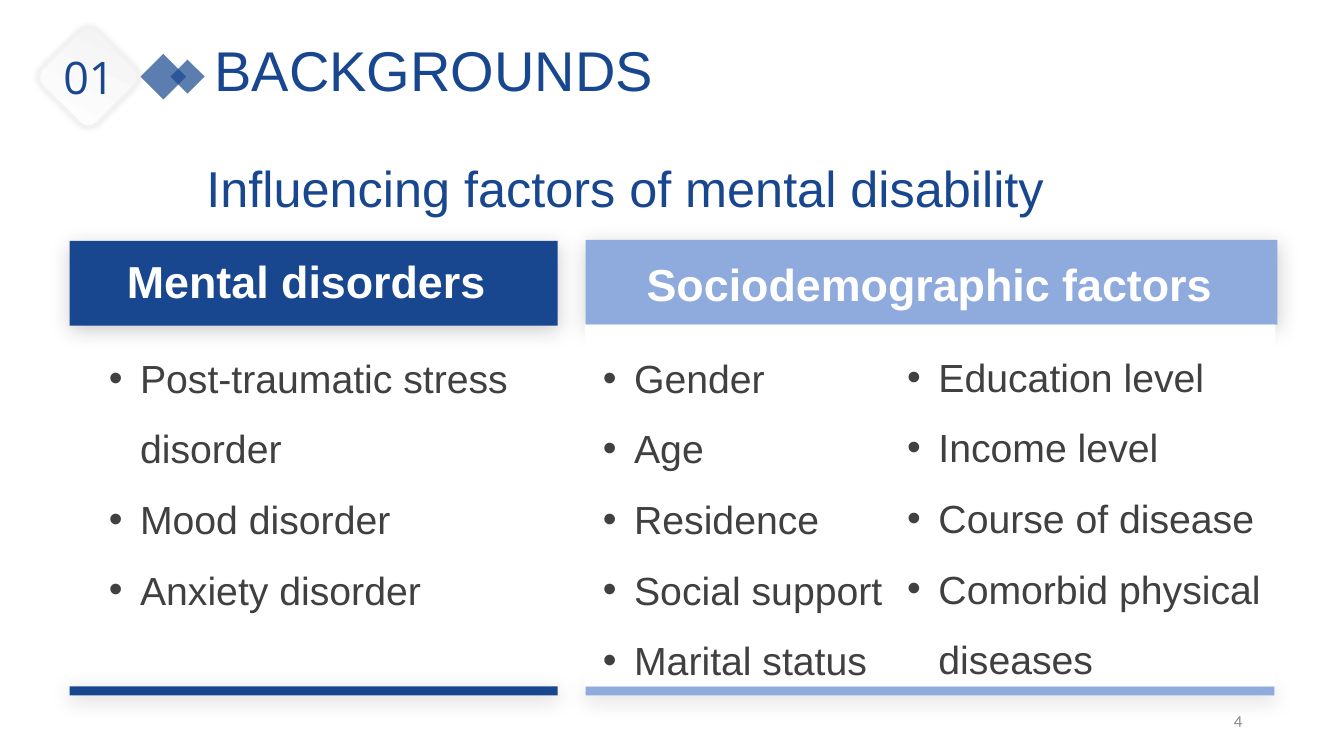
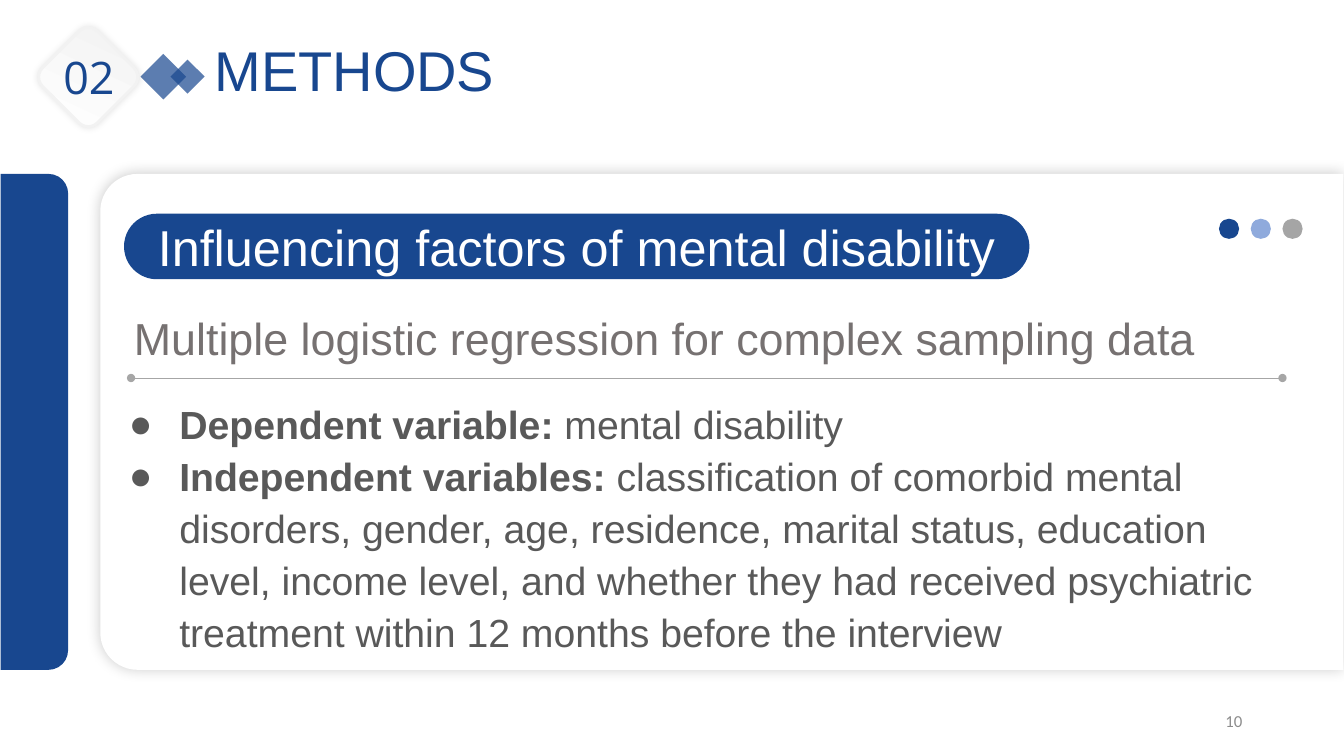
"""Builds two slides on the influencing factors of mental disability."""
from lxml import etree
from pptx import Presentation
from pptx.dml.color import RGBColor
from pptx.enum import shapes, text
from pptx.oxml.ns import qn
from pptx.util import Inches, Pt

C = dict(navy="18478F", sky="8FAADC", gray="A5A5A5", rule="A6A6A6", white="FFFFFF",
         pale="F2F2F2", ink="404040", body="595959", lead="767171", page="8C8C8C",
         black="000000")
KIND = shapes.MSO_SHAPE
ALIGN = text.PP_ALIGN

TOPIC = "Influencing factors of mental disability"
HEADERS = [("01", "BACKGROUNDS", "4"), ("02", "METHODS", "10")]
PANELS = [
    dict(title="Mental disorders", color="navy", align=ALIGN.JUSTIFY,
         card=(0.69, 3.2, 4.84, 3.59), band=(0.69, 2.39, 4.84, 0.84),
         label=(1.16, 2.47, 3.92, 0.64), foot=(0.69, 6.81, 4.84, 0.09), card_on_top=False),
    dict(title="Sociodemographic factors", color="sky", align=ALIGN.CENTER,
         card=(5.8, 3.22, 6.85, 3.59), band=(5.81, 2.38, 6.86, 0.84),
         label=(6.23, 2.5, 5.98, 0.64), foot=(5.81, 6.81, 6.83, 0.09), card_on_top=True),
]
LISTS = [
    ((1.08, 3.23, 4.46, 2.84), 0,
     ["Post-traumatic stress disorder", "Mood disorder", "Anxiety disorder"]),
    ((8.9, 3.22, 3.74, 3.55), 0.1,
     ["Education level", "Income level", "Course of disease", "Comorbid physical diseases"]),
    ((5.98, 3.23, 4.46, 3.55), 0,
     ["Gender", "Age", "Residence", "Social support", "Marital status"]),
]
METHOD = "Multiple logistic regression for complex sampling data"
VARIABLES = [
    ("Dependent variable: ", "mental disability"),
    ("Independent variables: ",
     "classification of comorbid mental disorders, gender, age, residence, marital status, "
     "education level, income level, and whether they had received psychiatric treatment "
     "within 12 months before the interview"),
]
DIAMONDS = [(1.46, 0.6, 0.32), (1.74, 0.64, 0.24)]
DOTS = ["navy", "sky", "gray"]
CARD_SHADOW = (20, 15, 3, 90)


def rgb(name):
    return RGBColor.from_string(C[name])


def add(parent, tag, **attrs):
    el = etree.SubElement(parent, qn(tag))
    for key, value in attrs.items():
        el.set(key, str(value))
    return el


def shape(s, kind, box, fill, rot=0, adj=(), alpha=None, shadow=None):
    sp = s.shapes.add_shape(kind, *map(Inches, box))
    sp.rotation = rot
    for i, value in enumerate(adj):
        sp.adjustments[i] = value
    sp.fill.solid()
    sp.fill.fore_color.rgb = rgb(fill)
    sp.line.fill.background()
    sp.shadow.inherit = False
    if alpha:
        clr = sp._element.spPr.find(".//" + qn("a:srgbClr"))
        add(clr, "a:alpha", val=alpha * 1000)
    if shadow:
        opacity, blur, dist, angle = shadow
        outer = add(sp._element.spPr.find(qn("a:effectLst")), "a:outerShdw",
                    blurRad=Pt(blur), dist=Pt(dist), dir=angle * 60000,
                    algn="ctr", rotWithShape=0)
        add(add(outer, "a:srgbClr", val=C["black"]), "a:alpha", val=opacity * 1000)
    return sp


def write(tf, paras, size, color, font="Arial", align=None, spacing=None, bullet=None, indent=0):
    for i, runs in enumerate(paras):
        p = tf.paragraphs[0] if i == 0 else tf.add_paragraph()
        if align is not None:
            p.alignment = align
        if spacing:
            p.line_spacing = spacing
        if bullet:
            pPr = p._p.get_or_add_pPr()
            pPr.set("marL", str(Inches(indent)))
            pPr.set("indent", str(-Inches(indent)))
            add(pPr, "a:buFont", typeface="Arial")
            add(pPr, "a:buChar", char=bullet)
        for words, bold in runs:
            r = p.add_run()
            r.text = words
            r.font.size, r.font.name, r.font.bold = Pt(size), font, bold
            r.font.color.rgb = rgb(color)


def label(s, box, paras, size, color, left=0.1, wrap=True, grow=True, **style):
    tf = s.shapes.add_textbox(*map(Inches, box)).text_frame
    tf.word_wrap = wrap
    tf.margin_left = Inches(left)
    if grow:
        tf.auto_size = text.MSO_AUTO_SIZE.SHAPE_TO_FIT_TEXT
    else:
        tf.vertical_anchor = text.MSO_ANCHOR.MIDDLE
    write(tf, paras, size, color, **style)


def plain(words, bold=False):
    return [[(words, bold)]]


def new_slide(prs, number, title, page):
    s = prs.slides.add_slide(prs.slide_layouts[6])
    for x, y, side in DIAMONDS:
        shape(s, KIND.RECTANGLE, (x, y, side, side), "navy", rot=225, alpha=70)
    badge = shape(s, KIND.ROUNDED_RECTANGLE, (0.49, 0.38, 0.77, 0.77), "white",
                  rot=45, shadow=(11, 5, 0, 0))
    badge.fill.gradient()
    badge.fill.gradient_angle = 110
    for stop, name in zip(badge.fill.gradient_stops, ("white", "pale")):
        stop.color.rgb = rgb(name)
    badge.line.color.rgb = rgb("pale")
    badge.line.width = Pt(2)
    label(s, (0.53, 0.44, 0.71, 0.64), plain(number), 32, "navy", wrap=False, font="Open Sans")
    label(s, (2.03, 0.3, 4.74, 0.77), plain(title), 40, "navy")
    label(s, (9.42, 6.95, 3, 0.4), plain(page), 12, "page", grow=False,
          font="Calibri", align=ALIGN.RIGHT)
    return s


def add_panel(s, panel):
    def card():
        shape(s, KIND.RECTANGLE, panel["card"], "white")

    if not panel["card_on_top"]:
        card()
    for part in ("band", "foot"):
        shape(s, KIND.RECTANGLE, panel[part], panel["color"], shadow=CARD_SHADOW)
    label(s, panel["label"], plain(panel["title"], True), 32, "white", align=panel["align"])
    if panel["card_on_top"]:
        card()


def backgrounds(s):
    for panel in PANELS:
        add_panel(s, panel)
    label(s, (1.95, 1.51, 8.57, 0.71), plain(TOPIC), 36, "navy")
    for box, left, items in LISTS:
        label(s, box, [[(item, False)] for item in items], 28, "ink", left=left,
              spacing=1.5, bullet="•", indent=0.31)


def methods(s):
    shape(s, KIND.ROUND_2_SAME_RECTANGLE, (4.7, -1.98, 4.92, 12.33), "white",
          rot=270, adj=(0.075, 0), shadow=(20, 10, 0, 0))
    shape(s, KIND.ROUND_2_SAME_RECTANGLE, (-2.12, 3.85, 4.92, 0.67), "navy",
          rot=90, adj=(0.29, 0))
    label(s, (1.18, 3.88, 11.42, 2.66),
          [[(name, True), (detail, False)] for name, detail in VARIABLES],
          28, "body", spacing=Pt(37), bullet="●", indent=0.5)
    rule = s.shapes.add_connector(shapes.MSO_CONNECTOR.STRAIGHT,
                                  *map(Inches, (1.3, 3.75, 12.72, 3.75)))
    rule.line.color.rgb = rgb("rule")
    rule.line.width = Pt(0.5)
    for end in ("a:headEnd", "a:tailEnd"):
        add(rule.line._get_or_add_ln(), end, type="oval")
    add(rule._element.spPr, "a:effectLst")
    for i, color in enumerate(DOTS):
        shape(s, KIND.OVAL, (12.09 + i * 0.315, 2.17, 0.2, 0.2), color)
    pill = shape(s, KIND.ROUNDED_RECTANGLE, (1.23, 2.12, 8.98, 0.65), "navy", adj=(0.5,))
    pill.text_frame.vertical_anchor = text.MSO_ANCHOR.MIDDLE
    write(pill.text_frame, plain(TOPIC), 36, "white", align=ALIGN.CENTER)
    label(s, (1.23, 2.93, 11.17, 0.69), plain(METHOD), 32, "lead", spacing=Pt(46))


prs = Presentation()
prs.slide_width, prs.slide_height = Inches(13.33), Inches(7.5)
for header, build in zip(HEADERS, (backgrounds, methods)):
    build(new_slide(prs, *header))
prs.save("out.pptx")
